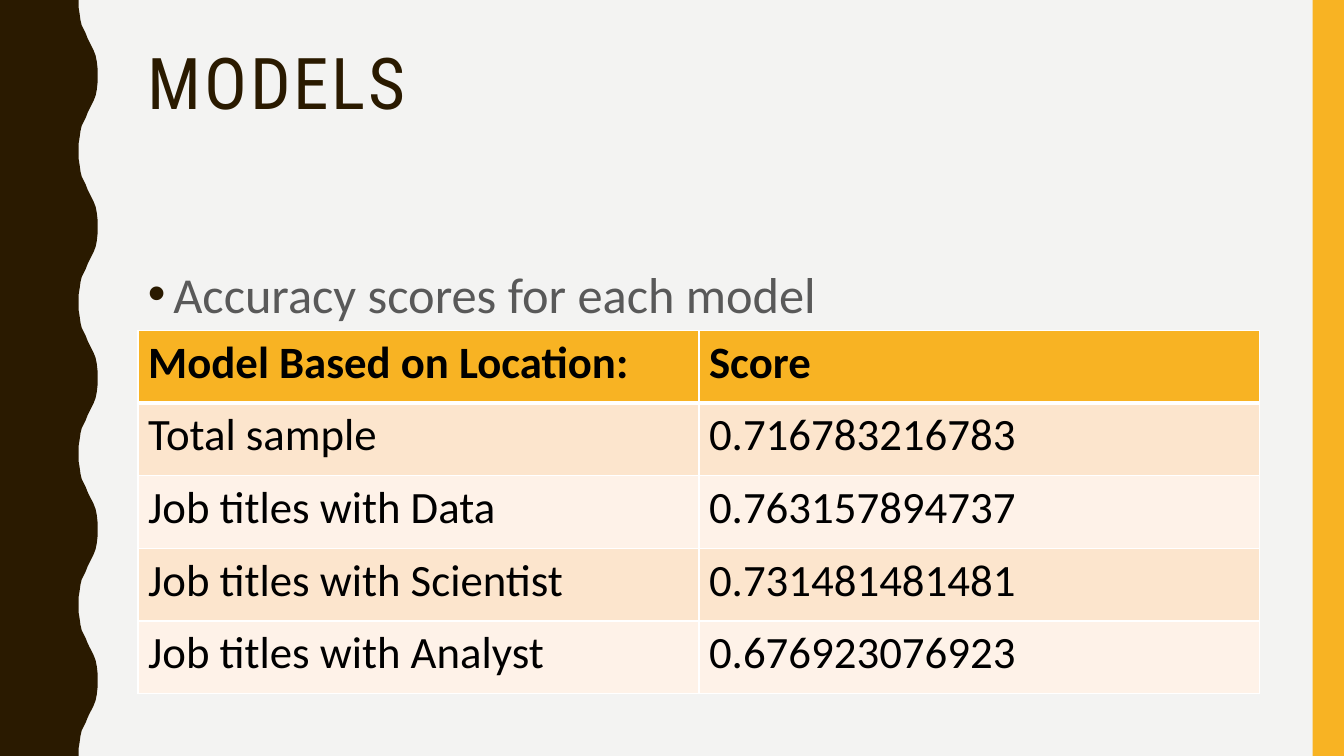
from lxml import etree
from pptx import Presentation
from pptx import util as u
from pptx.dml.color import RGBColor
from pptx.enum import shapes, text
from pptx.oxml import ns

BROWN = RGBColor(0x2A, 0x1A, 0x00)
GOLD = RGBColor(0xF8, 0xB3, 0x23)
PAPER = RGBColor(0xF3, 0xF3, 0xF2)
GRAY = RGBColor(0x59, 0x59, 0x59)
BLACK = RGBColor(0x00, 0x00, 0x00)
WHITE = RGBColor(0xFF, 0xFF, 0xFF)
PEACH = RGBColor(0xFC, 0xE5, 0xCD)
CREAM = RGBColor(0xFE, 0xF2, 0xE8)

SLIDE_WIDTH, SLIDE_HEIGHT = u.Cm(33.87), u.Cm(19.05)
CONTENT_LEFT, CONTENT_WIDTH = u.Cm(3.48), u.Cm(28.27)
WAVES = 5
HALF_WAVE = [(1.98, 0), (1.98, 0.18), (2.01, 0.36), (2.03, 0.51), (2.06, 0.64),
             (2.11, 0.74), (2.16, 0.84), (2.21, 0.97), (2.26, 1.07), (2.31, 1.17),
             (2.36, 1.27), (2.41, 1.4), (2.44, 1.55), (2.46, 1.73)]
SCORES = [
    ("Model Based on Location:", "Score"),
    ("Total sample", "0.716783216783"),
    ("Job titles with Data", "0.763157894737"),
    ("Job titles with Scientist", "0.731481481481"),
    ("Job titles with Analyst", "0.676923076923"),
]


def paint(shape, color):
    shape.shadow.inherit = False
    shape.fill.solid()
    shape.fill.fore_color.rgb = color
    shape.line.fill.background()


def format_runs(paragraph, font_name, size, color, bold=False):
    for run in paragraph.runs:
        run.font.name = font_name
        run.font.size = u.Pt(size)
        run.font.color.rgb = color
        run.font.bold = bold


def add_wavy_edge(slide, left, top, height):
    period = height / WAVES
    points = []
    for wave in range(WAVES):
        start = top + wave * period
        points += [(left + u.Cm(x), start + u.Cm(y)) for x, y in HALF_WAVE]
        points.append((left + u.Cm(2.46), start + period / 2))
        points += [(left + u.Cm(x), start + period - u.Cm(y))
                   for x, y in reversed(HALF_WAVE)]
    builder = slide.shapes.build_freeform(left, top)
    builder.add_line_segments(points + [(left, top + height)], close=True)
    paint(builder.convert_to_shape(), BROWN)


def add_side_bar(slide, left, top, width, height):
    bar = slide.shapes.add_shape(shapes.MSO_SHAPE.RECTANGLE, left, top, width, height)
    paint(bar, GOLD)


def add_text(slide, left, top, width, height, wording):
    box = slide.shapes.add_textbox(left, top, width, height)
    frame = box.text_frame
    frame.word_wrap = True
    frame.vertical_anchor = text.MSO_ANCHOR.TOP
    frame.text = wording
    return frame.paragraphs[0]


def add_title(slide, left, top, width, height):
    paragraph = add_text(slide, left, top, width, height, "MODELS")
    paragraph.line_spacing = 0.9
    format_runs(paragraph, "Roboto Condensed", 51, BROWN)
    paragraph.runs[0].font._element.set("spc", "200")


def add_bullet(slide, left, top, width, height):
    paragraph = add_text(slide, left, top, width, height, "Accuracy scores for each model")
    paragraph.line_spacing = 1.1
    paragraph.space_before = u.Pt(7)
    format_runs(paragraph, "Calibri", 36, GRAY)
    properties = paragraph._p.get_or_add_pPr()
    indent = u.Cm(0.64)
    properties.set("marL", str(indent))
    properties.set("indent", str(-indent))
    bullet_color = etree.SubElement(properties, ns.qn("a:buClr"))
    etree.SubElement(bullet_color, ns.qn("a:srgbClr"), val=str(BROWN))
    etree.SubElement(properties, ns.qn("a:buFont"), typeface="Arial")
    etree.SubElement(properties, ns.qn("a:buChar"), char="•")


def add_border(cell, side, points):
    properties = cell._tc.get_or_add_tcPr()
    line = etree.SubElement(properties, ns.qn(f"a:ln{side}"), w=str(u.Pt(points)))
    fill = etree.SubElement(line, ns.qn("a:solidFill"))
    etree.SubElement(fill, ns.qn("a:srgbClr"), val=str(WHITE))


def add_score_table(slide, left, top, width, height):
    table = slide.shapes.add_table(len(SCORES), 2, left, top, width, height).table
    for row, values in enumerate(SCORES):
        header = row == 0
        color = GOLD if header else (PEACH if row % 2 else CREAM)
        for column, value in enumerate(values):
            cell = table.cell(row, column)
            cell.text = value
            format_runs(cell.text_frame.paragraphs[0], "Calibri", 32, BLACK, header)
            borders = {"L": 1, "R": 1, "T": 3 if row == 1 else 1, "B": 3 if header else 1}
            for side, points in borders.items():
                add_border(cell, side, points)
            cell.fill.solid()
            cell.fill.fore_color.rgb = color


def add_models_slide(presentation):
    slide = presentation.slides.add_slide(presentation.slide_layouts[6])
    slide.background.fill.solid()
    slide.background.fill.fore_color.rgb = PAPER
    bar_width = u.Cm(0.79)
    add_wavy_edge(slide, 0, 0, SLIDE_HEIGHT)
    add_side_bar(slide, SLIDE_WIDTH - bar_width, 0, bar_width, SLIDE_HEIGHT)
    add_title(slide, CONTENT_LEFT, u.Cm(1.07), CONTENT_WIDTH, u.Cm(4.14))
    add_bullet(slide, CONTENT_LEFT, u.Cm(6.35), CONTENT_WIDTH, u.Cm(9.98))
    add_score_table(slide, CONTENT_LEFT, u.Cm(8.33), CONTENT_WIDTH, u.Cm(9.15))


def main():
    presentation = Presentation()
    presentation.slide_width = SLIDE_WIDTH
    presentation.slide_height = SLIDE_HEIGHT
    add_models_slide(presentation)
    presentation.save("out.pptx")


if __name__ == "__main__":
    main()
